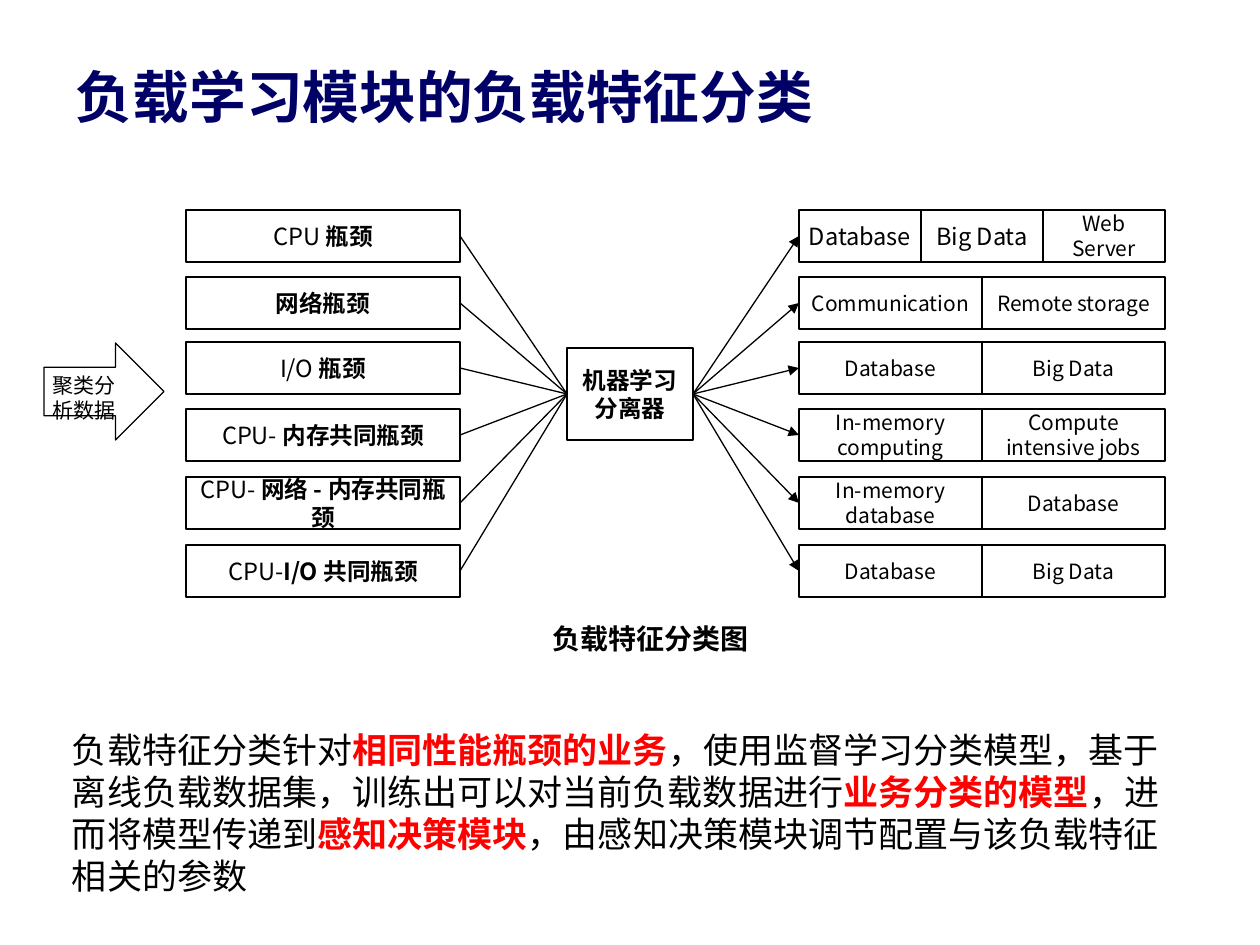
from pptx import Presentation
from pptx.dml.color import RGBColor
from pptx.enum.shapes import MSO_CONNECTOR, MSO_SHAPE
from pptx.enum.text import MSO_ANCHOR, MSO_AUTO_SIZE, PP_ALIGN
from pptx.oxml.ns import qn
from pptx.util import Emu, Pt
from lxml.etree import SubElement

PX = 914400 / 126
FONT = "Noto Sans CJK SC"
BLACK, RED, NAVY = "000000", "FF0000", "000066"

# Each row: bottleneck runs (text, bold) and the workloads (text, size) it maps to
ROWS = [
    (210, [("CPU", False), ("瓶颈", True)],
     [("Database", 13.5), ("Big Data", 13.5), ("Web Server", 12)]),
    (277, [("网络瓶颈", True)],
     [("Communication", 12), ("Remote storage", 12)]),
    (342, [("I/O", False), ("瓶颈", True)],
     [("Database", 12), ("Big Data", 12)]),
    (409, [("CPU-", False), ("内存共同瓶颈", True)],
     [("In-memory computing", 12), ("Compute intensive jobs", 12)]),
    (477, [("CPU-", False), ("网络-内存共同瓶颈", True)],
     [("In-memory database", 12), ("Database", 12)]),
    (545, [("CPU-", False), ("I/O共同瓶颈", True)],
     [("Database", 12), ("Big Data", 12)]),
]
ROW_H = 52
LEFT_X, LEFT_W = 186, 274
RIGHT_X, RIGHT_W = 799, 366
HUB_X, HUB_Y, HUB_W, HUB_H = 567, 348, 126, 92

# Body text runs; emphasised ones are bold and red
BODY = [
    ("负载特征分类针对", False),
    ("相同性能瓶颈的业务", True),
    ("，使用监督学习分类模型，基于离线负载数据集，训练出可以对当前负载数据进行", False),
    ("业务分类的模型", True),
    ("，进而将模型传递到", False),
    ("感知决策模块", True),
    ("，由感知决策模块调节配置与该负载特征相关的参数", False),
]


def px(n):
    return Emu(round(n * PX))


def color(value):
    return RGBColor.from_string(value)


def write(tf, runs, size, font=FONT, align=PP_ALIGN.LEFT,
          anchor=MSO_ANCHOR.MIDDLE, inset=(9, 5)):
    """Fill a text frame with (text, bold, colour) runs."""
    tf.word_wrap = True
    tf.vertical_anchor = anchor
    tf.margin_left = tf.margin_right = px(inset[0])
    tf.margin_top = tf.margin_bottom = px(inset[1])
    p = tf.paragraphs[0]
    p.alignment = align
    p.line_spacing = Pt(size * 1.2)
    for text, bold, fill in runs:
        r = p.add_run()
        r.text = text
        r.font.name = font
        r.font.size = Pt(size)
        r.font.bold = bold
        r.font.color.rgb = color(fill)


def add_title(s, text):
    sp = s.shapes.title
    sp.left, sp.top, sp.width, sp.height = px(76), px(62), px(1109), px(68)
    write(sp.text_frame, [(text, True, NAVY)], 32.4, "Lato", inset=(0, 0))
    sp.text_frame.auto_size = MSO_AUTO_SIZE.NONE


def add_outline(s, kind, x, y, w, h, runs, size, **layout):
    sp = s.shapes.add_shape(kind, px(x), px(y), px(w), px(h))
    sp.shadow.inherit = False
    sp.fill.background()
    sp.line.color.rgb = color(BLACK)
    sp.line.width = Pt(0.75)
    write(sp.text_frame, [(t, b, BLACK) for t, b in runs], size, **layout)


def add_box(s, x, y, w, h, runs, size):
    add_outline(s, MSO_SHAPE.RECTANGLE, x, y, w, h, runs, size,
                align=PP_ALIGN.CENTER)


def add_text(s, x, y, w, h, runs, size, **layout):
    tf = s.shapes.add_textbox(px(x), px(y), px(w), px(h)).text_frame
    write(tf, runs, size, **layout)
    tf.auto_size = MSO_AUTO_SIZE.SHAPE_TO_FIT_TEXT


def add_line(s, x1, y1, x2, y2, arrow=False):
    c = s.shapes.add_connector(MSO_CONNECTOR.STRAIGHT,
                               px(x1), px(y1), px(x2), px(y2))
    c.line.color.rgb = color(BLACK)
    c.line.width = Pt(0.75)
    if arrow:
        SubElement(c.line._get_or_add_ln(), qn("a:tailEnd"), type="triangle")
    SubElement(c._element.spPr, qn("a:effectLst"))


def add_row(s, y, bottleneck, workloads):
    """One bottleneck, its workloads and both links to the hub."""
    add_box(s, LEFT_X, y, LEFT_W, ROW_H, bottleneck, 13.5)
    w = RIGHT_W // len(workloads)
    for i, (text, size) in enumerate(workloads):
        add_box(s, RIGHT_X + i * w, y, w, ROW_H, [(text, False)], size)
    hub_mid, row_mid = HUB_Y + HUB_H // 2, y + ROW_H // 2
    add_line(s, HUB_X, hub_mid, LEFT_X + LEFT_W, row_mid)
    add_line(s, HUB_X + HUB_W, hub_mid, RIGHT_X, row_mid, arrow=True)


def main():
    prs = Presentation()
    prs.slide_width, prs.slide_height = px(1260), px(945)
    s = prs.slides.add_slide(prs.slide_layouts[5])
    add_title(s, "负载学习模块的负载特征分类")

    # Classification diagram
    add_outline(s, MSO_SHAPE.RIGHT_ARROW, 44, 343, 120, 97,
                [("聚类分析数据", False)], 12, anchor=MSO_ANCHOR.TOP)
    add_box(s, HUB_X, HUB_Y, HUB_W, HUB_H, [("机器学习分离器", True)], 13.5)
    for row in ROWS:
        add_row(s, *row)
    add_text(s, 544, 617, 224, 43, [("负载特征分类图", True, BLACK)], 16)

    # Explanation
    runs = [(t, strong, RED if strong else BLACK) for t, strong in BODY]
    add_text(s, 59, 722, 1143, 183, runs, 20, font="Times New Roman",
             anchor=MSO_ANCHOR.TOP, inset=(13, 6))
    prs.save("out.pptx")


if __name__ == "__main__":
    main()
